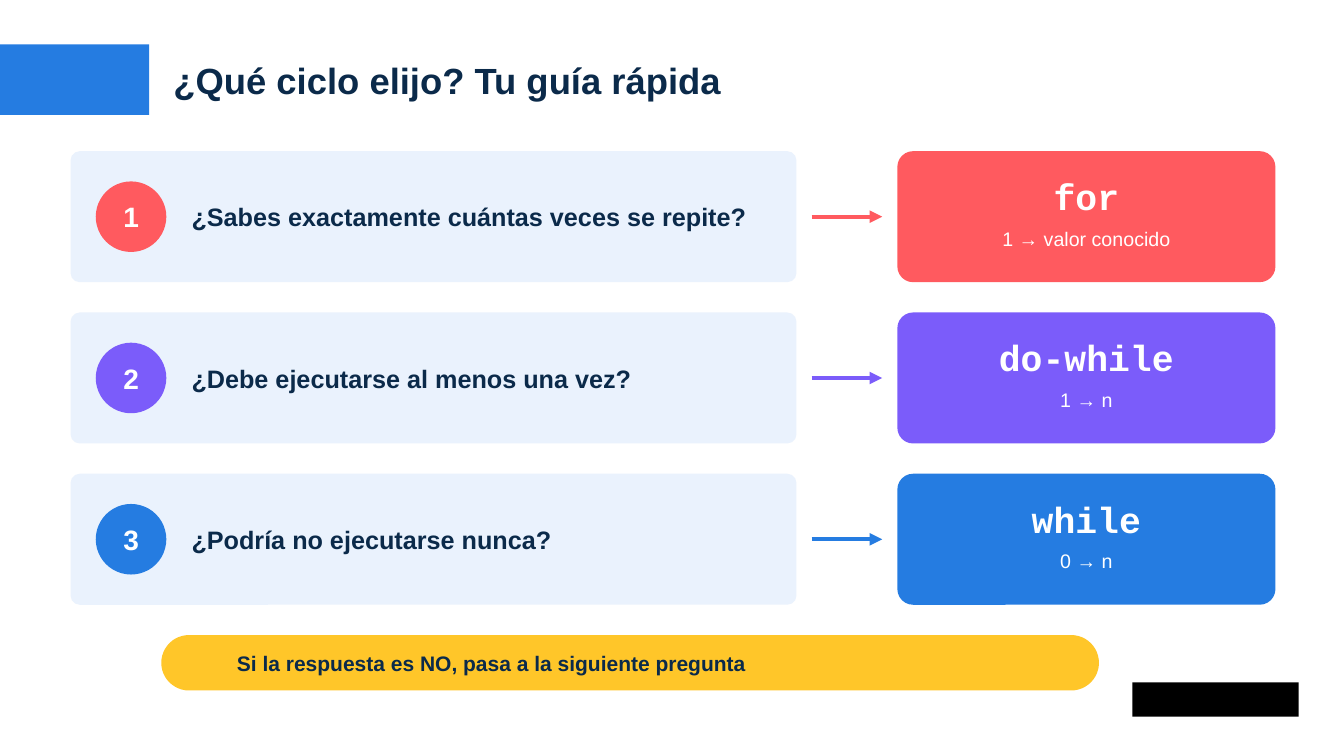
from lxml.etree import SubElement
from pptx import Presentation
from pptx.dml.color import RGBColor
from pptx.enum.shapes import MSO_CONNECTOR as Connector, MSO_SHAPE as Shape
from pptx.enum.text import MSO_ANCHOR as Anchor, PP_ALIGN as Align
from pptx.oxml.ns import qn
from pptx.util import Pt

SCALE = 9144
NAVY = RGBColor(0x0B, 0x2A, 0x4A)
BLUE = RGBColor(0x25, 0x7C, 0xE1)
CORAL = RGBColor(0xFF, 0x5A, 0x5F)
VIOLET = RGBColor(0x7B, 0x5C, 0xFA)
PALE = RGBColor(0xEA, 0xF2, 0xFD)
YELLOW = RGBColor(0xFF, 0xC6, 0x29)
WHITE = RGBColor(0xFF, 0xFF, 0xFF)
BLACK = RGBColor(0x00, 0x00, 0x00)

TITLE = {"size": Pt(26), "name": "Arial", "bold": True}
NUMBER = {"size": Pt(20), "name": "Arial", "bold": True}
QUESTION = {"size": Pt(18), "name": "Arial", "bold": True}
KEYWORD = {"size": Pt(26), "name": "Courier New", "bold": True}
RANGE = {"size": Pt(14), "name": "Arial", "bold": False}
HINT = {"size": Pt(15), "name": "Arial", "bold": True}

ROW_TOP, ROW_HEIGHT, ROW_STEP = 150, 130, 160
ROWS = [
    ("¿Sabes exactamente cuántas veces se repite?", "for", "1 → valor conocido", CORAL),
    ("¿Debe ejecutarse al menos una vez?", "do-while", "1 → n", VIOLET),
    ("¿Podría no ejecutarse nunca?", "while", "0 → n", BLUE),
]


def px(*lengths):
    return [length * SCALE for length in lengths]


def add_panel(page, kind, box, color, rounding=None):
    panel = page.shapes.add_shape(kind, *px(*box))
    panel.shadow.inherit = False
    panel.fill.solid()
    panel.fill.fore_color.rgb = color
    panel.line.fill.background()
    if rounding is not None:
        panel.adjustments[0] = rounding


def add_text(page, box, text, style, color, align=Align.LEFT, anchor=Anchor.MIDDLE):
    frame = page.shapes.add_textbox(*px(*box)).text_frame
    layout = {"word_wrap": True, "vertical_anchor": anchor, "margin_left": 0,
              "margin_top": 0, "margin_right": 0, "margin_bottom": 0}
    for key, value in layout.items():
        setattr(frame, key, value)
    para = frame.paragraphs[0]
    para.alignment = align
    para.space_after = Pt(4)
    span = para.add_run()
    span.text = text
    for key, value in style.items():
        setattr(span.font, key, value)
    span.font.color.rgb = color


def add_arrow(page, left, middle, length, color):
    ends = px(left, middle, left + length, middle)
    arrow = page.shapes.add_connector(Connector.STRAIGHT, *ends)
    arrow.line.color.rgb = color
    arrow.line.width = Pt(3)
    SubElement(arrow.line._get_or_add_ln(), qn("a:tailEnd"), type="triangle")
    SubElement(arrow._element.spPr, qn("a:effectLst"))


def add_header(page, left, top, width, height):
    add_panel(page, Shape.RECTANGLE, (left, top, 148, height), BLUE)
    add_text(page, (left + 172, top, width - 172, height),
             "¿Qué ciclo elijo? Tu guía rápida", TITLE, NAVY)


def add_question(page, box, number, question, color):
    left, top, width, height = box
    badge = (left + 25, top + 30, 70, 70)
    add_panel(page, Shape.ROUNDED_RECTANGLE, box, PALE, 0.07)
    add_panel(page, Shape.OVAL, badge, color)
    add_text(page, badge, str(number), NUMBER, WHITE, Align.CENTER)
    add_text(page, (left + 120, top, width - 130, height), question, QUESTION, NAVY)


def add_answer(page, box, keyword, span_range, color):
    left, top, width, height = box
    add_panel(page, Shape.ROUNDED_RECTANGLE, box, color, 0.12)
    add_text(page, (left, top + 12, width, 65), keyword, KEYWORD, WHITE, Align.CENTER)
    add_text(page, (left, top + 75, width, 40), span_range, RANGE, WHITE,
             Align.CENTER, Anchor.TOP)


def add_row(page, box, number, question, keyword, span_range, color):
    left, top, width, height = box
    add_question(page, (left, top, 720, height), number, question, color)
    add_arrow(page, left + 735, top + height // 2, 70, color)
    add_answer(page, (left + 820, top, width - 820, height), keyword, span_range, color)


def add_footer(page, left, top, width, height):
    add_panel(page, Shape.ROUNDED_RECTANGLE, (left, top, width, height), YELLOW, 0.5)
    add_text(page, (left + 75, top, width - 95, height),
             "Si la respuesta es NO, pasa a la siguiente pregunta", HINT, NAVY)


def main():
    deck = Presentation()
    deck.slide_width, deck.slide_height = px(1333, 750)
    page = deck.slides.add_slide(deck.slide_layouts[6])
    add_panel(page, Shape.RECTANGLE, (1123, 677, 165, 34), BLACK)
    add_header(page, 0, 44, 1272, 70)
    for index, row in enumerate(ROWS):
        box = (70, ROW_TOP + index * ROW_STEP, 1195, ROW_HEIGHT)
        add_row(page, box, index + 1, *row)
    add_footer(page, 160, 630, 930, 55)
    deck.save("out.pptx")


if __name__ == "__main__":
    main()
